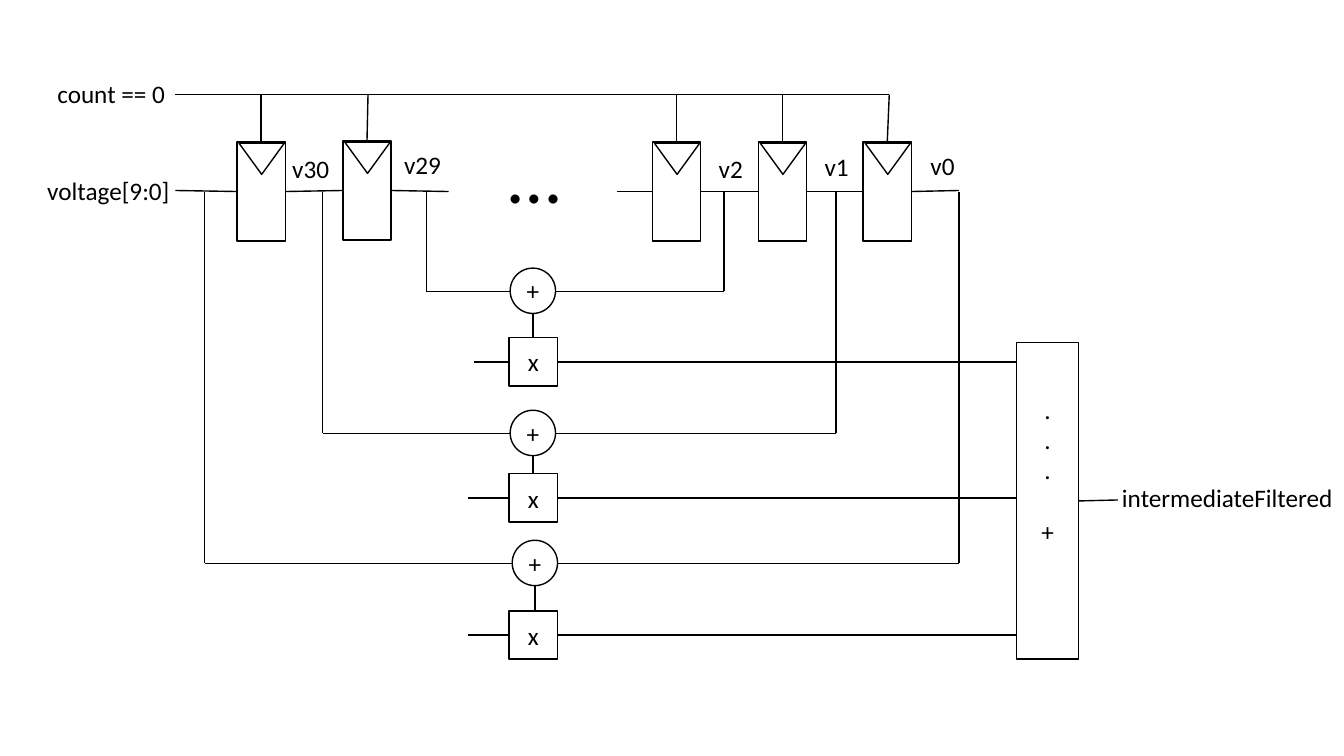
from pptx import Presentation
from pptx.dml.color import RGBColor
from pptx.enum.shapes import MSO_CONNECTOR, MSO_SHAPE
from pptx.enum.text import MSO_ANCHOR, PP_ALIGN
from pptx.util import Inches, Pt
from lxml import etree

COLORS = {"ink": "000000", "paper": "FFFFFF"}
INK = RGBColor.from_string(COLORS["ink"])
PAPER = RGBColor.from_string(COLORS["paper"])
A = "http://schemas.openxmlformats.org/drawingml/2006/main"

prs = Presentation()
prs.slide_width, prs.slide_height = Inches(13.33), Inches(7.5)
s = prs.slides.add_slide(prs.slide_layouts[6])


def add_block(kind, x, y, w, h, lines=()):
    sp = s.shapes.add_shape(kind, Inches(x), Inches(y), Inches(w), Inches(h))
    sp.shadow.inherit = False
    sp.fill.solid()
    sp.fill.fore_color.rgb = PAPER
    sp.line.color.rgb = INK
    sp.line.width = Pt(1)
    tf = sp.text_frame
    tf.vertical_anchor = MSO_ANCHOR.MIDDLE
    tf.margin_left = tf.margin_right = 0
    for i, text in enumerate(lines):
        p = tf.add_paragraph() if i else tf.paragraphs[0]
        p.alignment = PP_ALIGN.CENTER
        r = p.add_run()
        r.text = text
        r.font.name, r.font.size = "Calibri", Pt(18)
        r.font.color.rgb = INK
    return sp


def add_wire(x1, y1, x2, y2):
    wire = s.shapes.add_connector(
        MSO_CONNECTOR.STRAIGHT, Inches(x1), Inches(y1), Inches(x2), Inches(y2))
    wire.line.color.rgb = INK
    wire.line.width = Pt(1)
    etree.SubElement(wire._element.spPr, f"{{{A}}}effectLst")


CLOCK_Y, DATA_Y = 0.94, 1.9
REG_W, REG_H = 0.48, 0.98

for x, y, clock_x in [(2.35, 1.41, 2.59), (3.4, 1.4, 3.65), (6.47, 1.41, 6.71),
                      (7.52, 1.41, 7.76), (8.56, 1.41, 8.82)]:
    add_block(MSO_SHAPE.RECTANGLE, x, y, REG_W, REG_H)
    notch = add_block(MSO_SHAPE.ISOSCELES_TRIANGLE, x + 0.02, y + 0.01, 0.45, 0.31)
    notch.rotation = 180
    add_wire(x + REG_W / 2, y, clock_x, CLOCK_Y)

add_wire(1.74, CLOCK_Y, 8.82, CLOCK_Y)
for x1, y1, x2, y2 in [(1.74, 1.89, 2.35, 1.9), (2.83, 1.9, 3.4, 1.89),
                       (3.88, 1.89, 4.45, 1.9), (6.12, 1.9, 6.47, 1.9),
                       (6.95, 1.9, 7.52, 1.9), (8, 1.9, 8.56, 1.9),
                       (9.04, 1.9, 9.51, 1.89)]:
    add_wire(x1, y1, x2, y2)

ADD_D, MUL_D, SUM_X = 0.45, 0.48, 10.08
for add_x, add_y, mul_y, left_tap, right_tap, coef_x in [
        (5.06, 2.66, 3.35, 4.23, 7.18, 4.7),
        (5.06, 4.07, 4.7, 3.2, 8.29, 4.64),
        (5.08, 5.36, 6.06, 2.03, 9.51, 4.64)]:
    mul_x = 5.05
    mid_x = add_x + ADD_D / 2
    add_mid, mul_mid = add_y + 0.23, mul_y + MUL_D / 2
    add_block(MSO_SHAPE.OVAL, add_x, add_y, ADD_D, ADD_D, ["+"])
    add_block(MSO_SHAPE.RECTANGLE, mul_x, mul_y, MUL_D, MUL_D, ["x"])
    add_wire(left_tap, add_mid, left_tap, DATA_Y)
    add_wire(add_x, add_mid, left_tap, add_mid)
    add_wire(add_x + ADD_D, add_mid, right_tap, add_mid)
    add_wire(right_tap, add_mid, right_tap, DATA_Y)
    add_wire(mid_x, add_y + ADD_D, mid_x, mul_y)
    add_wire(mul_x, mul_mid, coef_x, mul_mid)
    add_wire(mul_x + MUL_D, mul_mid, SUM_X, mul_mid)

total = add_block(MSO_SHAPE.RECTANGLE, SUM_X, 3.4, 0.62, 3.14, [".", ".", ".", "+"])
total.text_frame.margin_bottom = Inches(0.66)
total.text_frame.paragraphs[-1].space_before = Pt(22)
add_wire(10.7, 4.97, 11.09, 4.96)

for text, x, y, w, h, size in [
        ("count == 0", 0.47, 0.73, 1.28, 0.4, 18),
        ("voltage[9:0]", 0.37, 1.69, 1.43, 0.4, 18),
        ("v30", 2.8, 1.47, 0.63, 0.4, 18),
        ("v29", 3.91, 1.43, 0.63, 0.4, 18),
        ("…", 4.94, 1.22, 0.69, 1.01, 54),
        ("v2", 7.03, 1.47, 0.63, 0.4, 18),
        ("v1", 8.08, 1.45, 0.63, 0.4, 18),
        ("v0", 9.13, 1.44, 0.63, 0.4, 18),
        ("intermediateFiltered", 11.03, 4.74, 2.3, 0.4, 18)]:
    label = s.shapes.add_textbox(Inches(x), Inches(y), Inches(w), Inches(h))
    tf = label.text_frame
    tf.word_wrap = True
    tf.margin_right = 0
    r = tf.paragraphs[0].add_run()
    r.text = text
    r.font.name, r.font.size = "Calibri", Pt(size)
    r.font.color.rgb = INK

prs.save("out.pptx")
